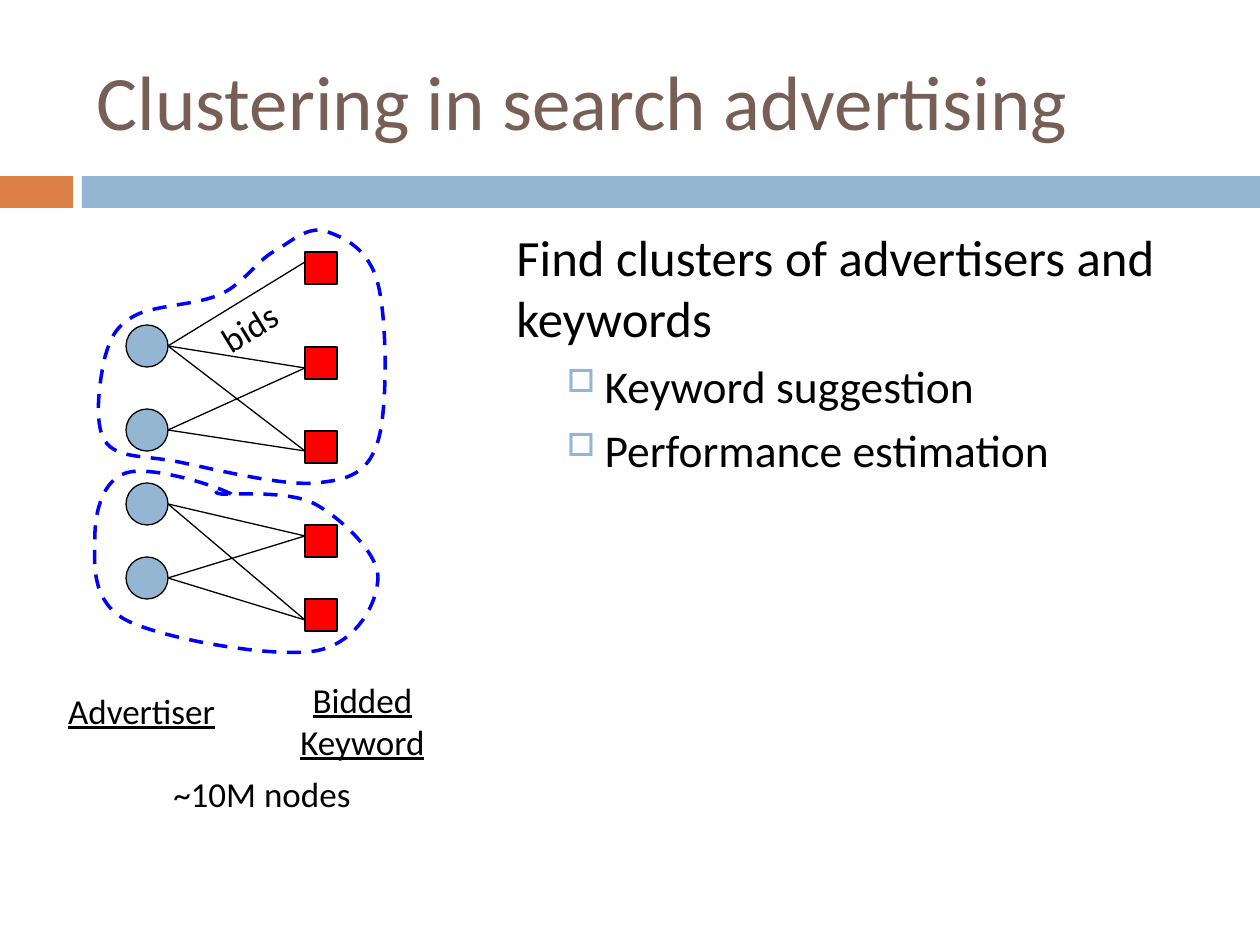
from lxml import etree
from pptx import Presentation
from pptx import util as u
from pptx.dml.color import RGBColor
from pptx.enum import dml, shapes, text
from pptx.oxml.ns import qn

PX = 914400 // 126
FONT = "Calibri"
COLORS = {"title": "775F55", "orange": "DD8047", "blue": "94B6D2",
          "black": "000000", "keyword": "FF0000", "cluster": "0000FF"}


def add_box(kind, left, top, width, height, fill, outline=None):
    box = slide.shapes.add_shape(kind, left * PX, top * PX, width * PX, height * PX)
    box.shadow.inherit = False
    box.fill.solid()
    box.fill.fore_color.rgb = RGBColor.from_string(COLORS[fill])
    if outline:
        box.line.color.rgb = RGBColor.from_string(COLORS[outline])
        box.line.width = u.Pt(0.75)
    else:
        box.line.fill.background()


def style(paragraph, size, color="black", underline=None):
    for run in paragraph.runs:
        run.font.name = FONT
        run.font.size = u.Pt(size)
        run.font.underline = underline
        run.font.color.rgb = RGBColor.from_string(COLORS[color])


prs = Presentation()
prs.slide_width, prs.slide_height = u.Inches(10), u.Inches(7.5)
slide = prs.slides.add_slide(prs.slide_layouts[5])
RECT, OVAL = shapes.MSO_SHAPE.RECTANGLE, shapes.MSO_SHAPE.OVAL

# Band under the title
add_box(RECT, 0, 176, 73, 32, "orange")
add_box(RECT, 82, 176, 1178, 32, "blue")

# Title
title = slide.shapes.title
title.left, title.top, title.width, title.height = 84 * PX, 32 * PX, 1124 * PX, 136 * PX
title.text_frame.text = "Clustering in search advertising"
title.text_frame.vertical_anchor = text.MSO_ANCHOR.MIDDLE
title.text_frame.paragraphs[0].alignment = text.PP_ALIGN.LEFT
style(title.text_frame.paragraphs[0], 44, "title")

# Goal and its uses
goal = slide.shapes.add_textbox(504 * PX, 220 * PX, 693 * PX, 624 * PX).text_frame
goal.word_wrap = True
goal.text = "Find clusters of advertisers and keywords"
goal.paragraphs[0].space_before = u.Pt(7)
style(goal.paragraphs[0], 29)
for use in ("Keyword suggestion", "Performance estimation"):
    item = goal.add_paragraph()
    item.text = use
    item.level = 1
    item.space_before = u.Pt(5.5)
    style(item, 26)
    props = item._p.get_or_add_pPr()
    props.set("marL", str(u.Inches(0.7)))
    props.set("indent", str(u.Inches(-0.3)))
    bullet_color = etree.SubElement(props, qn("a:buClr"))
    etree.SubElement(bullet_color, qn("a:srgbClr"), val=COLORS["blue"])
    etree.SubElement(props, qn("a:buSzPct"), val="70000")
    etree.SubElement(props, qn("a:buChar"), char="□")

# Advertisers and keywords
advertiser_tops = [325, 409, 483, 557]
for top in advertiser_tops:
    add_box(OVAL, 126, top, 42, 42, "blue", "black")
for top in [252, 347, 431, 525, 599]:
    add_box(RECT, 305, top, 32, 32, "keyword", "black")

# Bids: advertiser index and the heights its lines reach
bids = [(0, (262, 368, 451)), (1, (368, 451)), (2, (536, 620)), (3, (536, 620))]
for advertiser, ends in bids:
    start = advertiser_tops[advertiser] + 21
    for end in ends:
        bid = slide.shapes.add_connector(shapes.MSO_CONNECTOR.STRAIGHT,
                                         168 * PX, start * PX, 305 * PX, end * PX)
        bid.line.color.rgb = RGBColor.from_string(COLORS["black"])
        bid.line.width = u.Pt(0.75)
        etree.SubElement(bid._element.spPr, qn("a:effectLst"))

# Cluster outlines: a start point, then three Bezier points per curve
clusters = [
    [(273, 252), (256, 262), (243, 284), (221, 294), (198, 305), (156, 305), (136, 315),
     (117, 325), (111, 336), (105, 357), (100, 378), (93, 423), (105, 441),
     (117, 459), (144, 455), (179, 462), (213, 469), (282, 486), (315, 483),
     (348, 480), (368, 474), (378, 441), (388, 408), (387, 319), (378, 284),
     (369, 248), (343, 237), (325, 231), (307, 226), (291, 242), (273, 252)],
    [(231, 494), (215, 485), (149, 465), (126, 473), (103, 480), (95, 512), (95, 536),
     (95, 559), (89, 600), (126, 620), (163, 639), (273, 658), (315, 651),
     (357, 644), (378, 602), (378, 577), (378, 553), (341, 518), (315, 504),
     (289, 490), (234, 495), (221, 494), (207, 491), (228, 493), (229, 493),
     (231, 493), (231, 494), (231, 494)],
]
for points in clusters:
    builder = slide.shapes.build_freeform(*points[0], scale=PX)
    builder.add_line_segments(points[1:], close=True)
    cluster = builder.convert_to_shape()
    cluster.shadow.inherit = False
    cluster.fill.background()
    cluster.line.color.rgb = RGBColor.from_string(COLORS["cluster"])
    cluster.line.width = u.Pt(2)
    cluster.line.dash_style = dml.MSO_LINE.DASH
    segments = list(cluster._element.iter(qn("a:lnTo")))
    for first in range(0, len(points) - 1, 3):
        curve = etree.Element(qn("a:cubicBezTo"))
        segments[first].addprevious(curve)
        for segment in segments[first:first + 3]:
            curve.append(segment[0])
            segment.getparent().remove(segment)

# Labels
CENTER, LEFT = text.PP_ALIGN.CENTER, text.PP_ALIGN.LEFT
labels = [
    ("Advertiser", 31, 683, 221, 55, CENTER, True, 0),
    ("Bidded Keyword", 273, 672, 179, 97, CENTER, True, 0),
    ("bids", 203, 285, 140, 55, LEFT, None, 328.4),
    ("~10M nodes", 136, 766, 252, 55, CENTER, None, 0),
]
for wording, left, top, width, height, align, underline, angle in labels:
    label = slide.shapes.add_textbox(left * PX, top * PX, width * PX, height * PX)
    label.rotation = angle
    label.text_frame.word_wrap = True
    label.text_frame.text = wording
    label.text_frame.paragraphs[0].alignment = align
    style(label.text_frame.paragraphs[0], 20, underline=underline)

prs.save("out.pptx")
